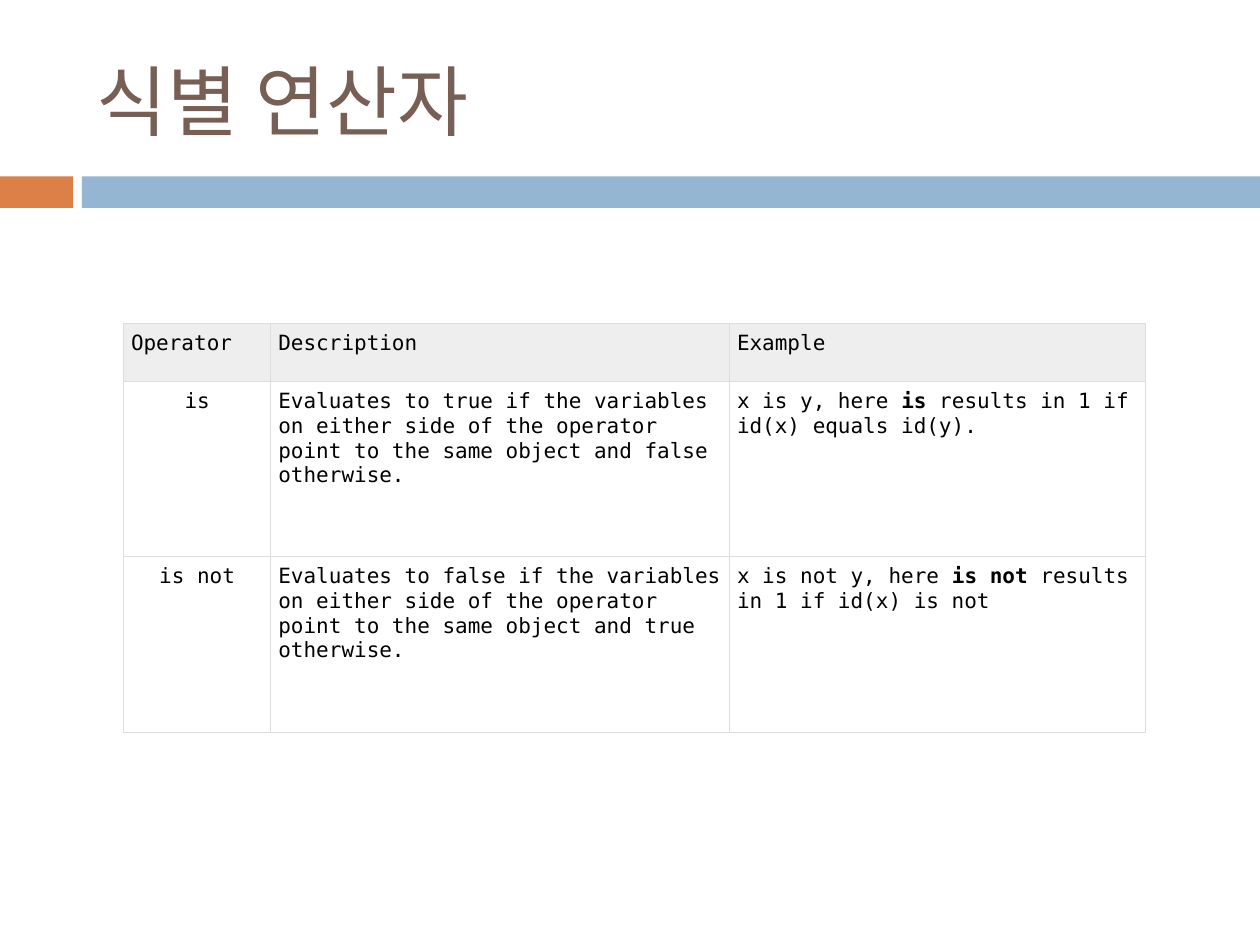
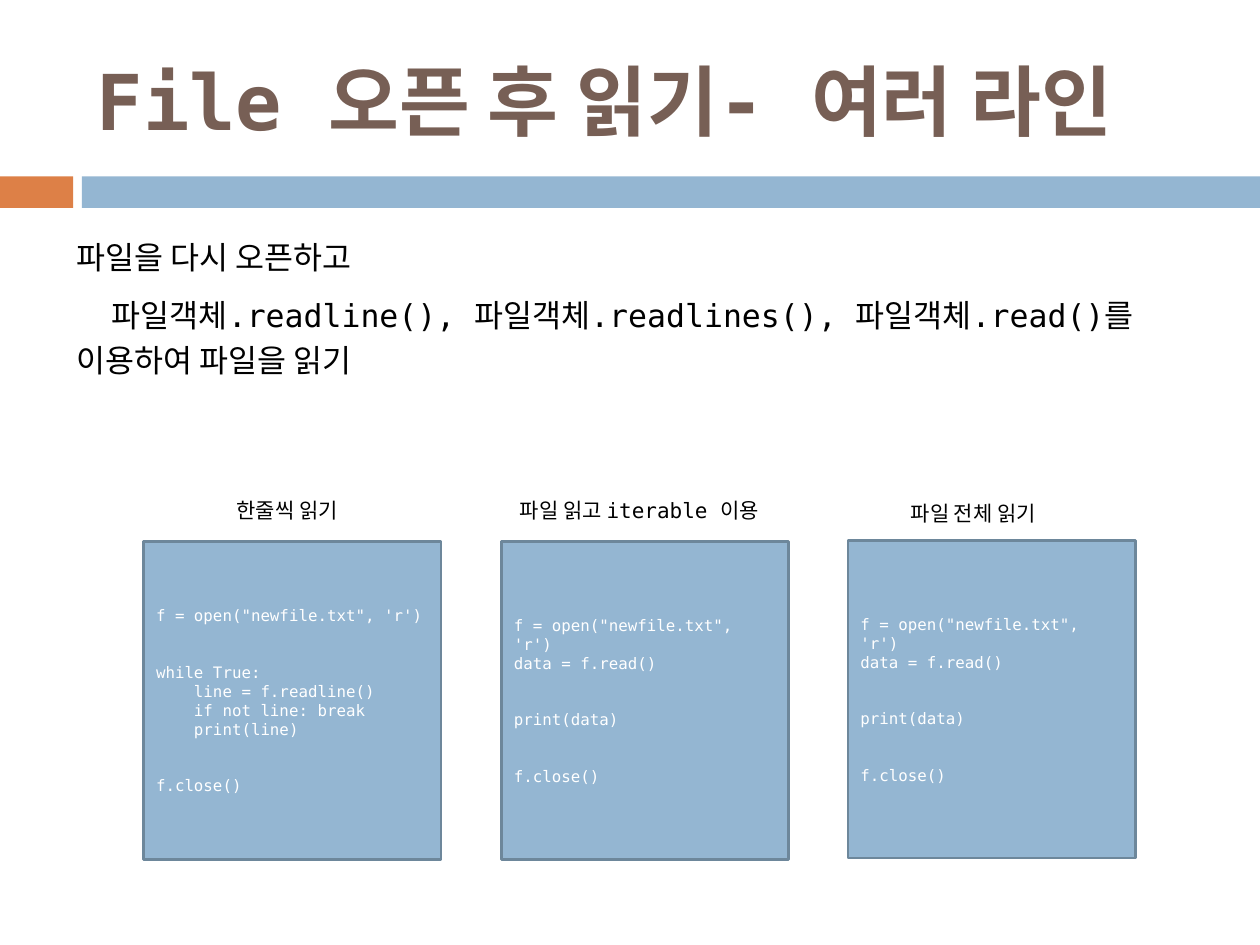
from lxml import etree
from pptx import Presentation
from pptx.dml.color import RGBColor
from pptx.enum import shapes, text
from pptx.oxml.ns import qn
from pptx.util import Inches, Pt

FONT = "DejaVu Sans Mono"
BLUE, ORANGE, BROWN = "94B6D2", "DD8047", "775F55"
BLACK, WHITE = "000000", "FFFFFF"
EDGE, GRID, HEADER = "6D879B", "DDDDDD", "EEEEEE"
LEFT, CENTER = text.PP_ALIGN.LEFT, text.PP_ALIGN.CENTER
TOP, MIDDLE = text.MSO_ANCHOR.TOP, text.MSO_ANCHOR.MIDDLE

OPERATORS = [
    ["Operator", "Description", "Example"],
    ["is",
     "Evaluates to true if the variables on either side of the operator "
     "point to the same object and false otherwise.",
     [("x is y, here ", False), ("is", True),
      (" results in 1 if id(x) equals id(y).", False)]],
    ["is not",
     "Evaluates to false if the variables on either side of the operator "
     "point to the same object and true otherwise.",
     [("x is not y, here ", False), ("is not", True),
      (" results in 1 if id(x) is not", False)]],
]
READ_LINES = [
    "f = open(\"newfile.txt\", 'r')",
    "while True:\n    line = f.readline()\n    if not line: break\n    print(line)",
    "f.close()",
]
READ_ALL = [
    "f = open(\"newfile.txt\", 'r')\ndata = f.read()",
    "print(data)",
    "f.close()",
]


def rgb(value):
    return RGBColor.from_string(value)


def write(p, content, size=12, color=BLACK, bold=False, align=LEFT,
          before=0, spacing=None, indent=0):
    p.alignment = align
    if before:
        p.space_before = Pt(before)
    if spacing:
        p.line_spacing = spacing
    if indent:
        p._p.get_or_add_pPr().set("indent", str(Inches(indent)))
    runs = [(content, bold)] if isinstance(content, str) else content
    for words, strong in runs:
        r = p.add_run()
        r.text = words
        r.font.name, r.font.size, r.font.bold = FONT, Pt(size), strong
        r.font.color.rgb = rgb(color)


def next_paragraph(tf, i):
    return tf.add_paragraph() if i else tf.paragraphs[0]


def add_text(s, box, lines, anchor=TOP, **fmt):
    tf = s.shapes.add_textbox(*map(Inches, box)).text_frame
    tf.word_wrap = True
    tf.vertical_anchor = anchor
    for i, line in enumerate(lines):
        write(next_paragraph(tf, i), line, **fmt)
    return tf


def add_rect(s, box, fill, line=None):
    sp = s.shapes.add_shape(shapes.MSO_SHAPE.RECTANGLE, *map(Inches, box))
    sp.shadow.inherit = False
    sp.fill.solid()
    sp.fill.fore_color.rgb = rgb(fill)
    if line:
        sp.line.color.rgb = rgb(line)
        sp.line.width = Pt(1.5)
    else:
        sp.line.fill.background()
    return sp


def add_slide(prs, title, bold=False):
    s = prs.slides.add_slide(prs.slide_layouts[6])
    add_rect(s, (0, 1.4, 0.58, 0.25), ORANGE)
    add_rect(s, (0.65, 1.4, 9.35, 0.25), BLUE)
    add_text(s, (0.67, 0.25, 8.92, 1.08), [title], anchor=MIDDLE,
             size=44, color=BROWN, bold=bold)
    return s


def add_code(s, box, blocks):
    tf = add_rect(s, box, BLUE, EDGE).text_frame
    tf.word_wrap = True
    tf.vertical_anchor = MIDDLE
    count = 0
    for block in blocks:
        for n, line in enumerate(block.split("\n")):
            gap = 21.5 if count and n == 0 else 0
            write(next_paragraph(tf, count), line, size=9, color=WHITE, before=gap)
            count += 1


def set_borders(cell):
    tcPr = cell._tc.get_or_add_tcPr()
    for i, side in enumerate(("a:lnL", "a:lnR", "a:lnT", "a:lnB")):
        ln = etree.Element(qn(side), w=str(Pt(0.6)))
        fill = etree.SubElement(ln, qn("a:solidFill"))
        etree.SubElement(fill, qn("a:srgbClr"), val=GRID)
        tcPr.insert(i, ln)


def add_grid(s, box, widths, heights, rows):
    table = s.shapes.add_table(len(rows), len(widths), *map(Inches, box)).table
    for column, width in zip(table.columns, widths):
        column.width = Inches(width)
    for row, height in zip(table.rows, heights):
        row.height = Inches(height)
    for i, row in enumerate(rows):
        for j, content in enumerate(row):
            cell = table.cell(i, j)
            cell.margin_left = cell.margin_right = Inches(0.06)
            cell.margin_top = cell.margin_bottom = Inches(0.06)
            cell.fill.solid()
            cell.fill.fore_color.rgb = rgb(WHITE if i else HEADER)
            set_borders(cell)
            write(cell.text_frame.paragraphs[0], content,
                  align=CENTER if i and j == 0 else LEFT)


def operators_slide(prs):
    s = add_slide(prs, "식별 연산자")
    add_grid(s, (0.98, 2.57, 8.11, 3.24), (1.17, 3.64, 3.3),
             (0.46, 1.39, 1.39), OPERATORS)


def file_reading_slide(prs):
    s = add_slide(prs, "File 오픈 후 읽기- 여러 라인", bold=True)
    tf = add_text(s, (0.51, 1.78, 9, 1.65), ["파일을 다시 오픈하고"],
                  size=18, spacing=1.2)
    write(tf.add_paragraph(),
          "파일객체.readline(), 파일객체.readlines(), 파일객체.read()를 "
          "이용하여 파일을 읽기",
          size=18, spacing=1.2, before=7, indent=0.28)
    examples = [
        ("한줄씩 읽기", (1.06, 3.9, 2.44, 0.3), (1.14, 4.3, 2.36, 2.52), READ_LINES),
        ("파일 읽고 iterable 이용", (3.58, 3.9, 2.99, 0.3), (3.98, 4.3, 2.28, 2.52), READ_ALL),
        ("파일 전체 읽기", (6.23, 3.92, 2.99, 0.3), (6.73, 4.29, 2.28, 2.52), READ_ALL),
    ]
    for label, label_box, code_box, code in examples:
        add_text(s, label_box, [label], align=CENTER)
        add_code(s, code_box, code)


def main():
    prs = Presentation()
    prs.slide_width, prs.slide_height = Inches(10), Inches(7.5)
    operators_slide(prs)
    file_reading_slide(prs)
    prs.save("out.pptx")


if __name__ == "__main__":
    main()
